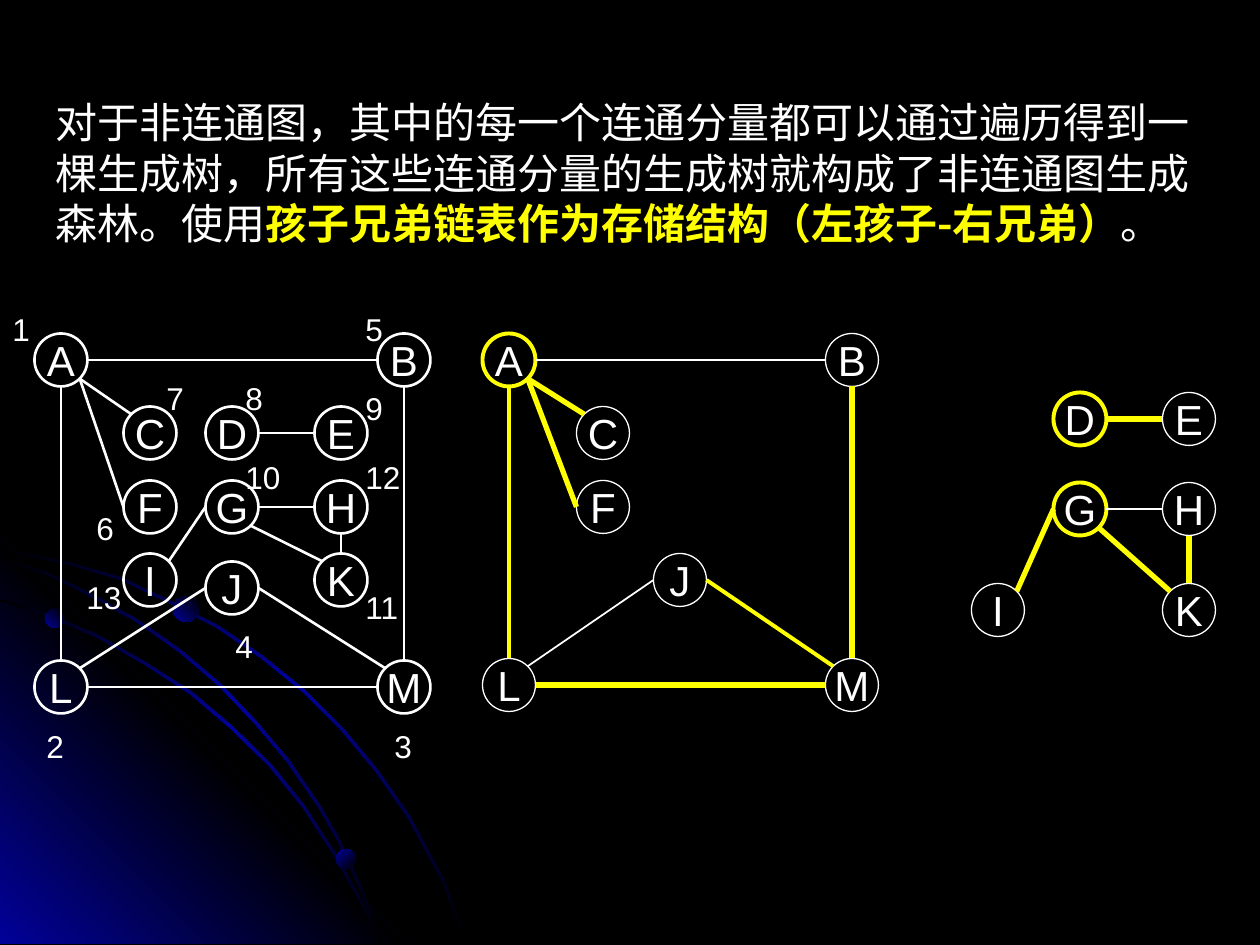
import math

from lxml import etree
from pptx import Presentation
from pptx.dml.color import RGBColor
from pptx.enum.shapes import MSO_CONNECTOR, MSO_SHAPE
from pptx.enum.text import MSO_ANCHOR, PP_ALIGN
from pptx.oxml.ns import qn
from pptx.util import Pt

OVAL = MSO_SHAPE.OVAL
STRAIGHT = MSO_CONNECTOR.STRAIGHT
MIDDLE = MSO_ANCHOR.MIDDLE
CENTER = PP_ALIGN.CENTER

SCALE = 914400 / 126  # EMU per px
WIDTH, HEIGHT = 1260, 945
NODE_SIZE = 53
BLACK, WHITE, YELLOW, BLUE = "000000", "FFFFFF", "FFFF00", "010199"
LATIN, CHINESE = "Arial", "Noto Sans CJK SC"

# Connection sites of an ellipse, counter-clockwise from the top
TOP, TOP_LEFT, LEFT, BOTTOM_LEFT, BOTTOM, BOTTOM_RIGHT, RIGHT, TOP_RIGHT = range(8)

# Upper edges of the curved background bands
BANDS = [
    [(0, 548), (35, 555), (72, 563), (123, 578), (171, 601), (219, 626),
     (263, 656), (305, 690), (343, 728), (378, 770), (410, 816), (427, 848),
     (444, 879), (456, 911), (469, 944)],
    [(0, 599), (52, 615), (100, 636), (147, 663), (192, 692), (232, 726),
     (271, 764), (305, 806), (335, 852), (360, 897), (373, 920), (382, 944)],
    [(0, 557), (49, 573), (96, 596), (140, 621), (181, 650), (221, 684),
     (257, 722), (289, 760), (320, 805), (339, 838), (355, 873), (370, 907),
     (382, 944)],
]
CORNER = [(0, 538), (406, 944), (0, 944)]
DOTS = [(45, 609, 19, 315), (336, 849, 20, 45), (173, 596, 26, 315)]

# Node centres; edges give start, its site, end, its site, colour and width
GRAPH_NODES = {
    "A": (61, 360), "B": (404, 360), "L": (61, 687), "M": (404, 687),
    "C": (150, 433), "F": (150, 507), "I": (150, 580),
    "D": (232, 433), "E": (341, 433), "G": (232, 507), "H": (341, 507),
    "J": (232, 588), "K": (341, 580),
}
GRAPH_EDGES = [(*edge, WHITE, 1.5) for edge in [
    ("A", RIGHT, "B", LEFT), ("A", BOTTOM, "L", TOP), ("L", RIGHT, "M", LEFT),
    ("M", TOP, "B", BOTTOM), ("L", TOP_RIGHT, "J", LEFT),
    ("J", RIGHT, "M", TOP_LEFT), ("I", TOP_RIGHT, "G", LEFT),
    ("A", BOTTOM_RIGHT, "C", TOP_LEFT), ("A", BOTTOM_RIGHT, "F", LEFT),
    ("D", RIGHT, "E", LEFT), ("G", RIGHT, "H", LEFT), ("H", BOTTOM, "K", TOP),
    ("G", BOTTOM_RIGHT, "K", TOP_LEFT),
]]
LARGE_TREE_NODES = {
    "A": (509, 360), "B": (852, 360), "L": (509, 685), "M": (852, 685),
    "C": (603, 433), "F": (603, 507), "J": (680, 580),
}
LARGE_TREE_EDGES = [
    ("A", RIGHT, "B", LEFT, WHITE, 1),
    ("A", BOTTOM, "L", TOP, YELLOW, 2.25),
    ("L", RIGHT, "M", LEFT, YELLOW, 3),
    ("M", TOP, "B", BOTTOM, YELLOW, 3),
    ("L", TOP_RIGHT, "J", LEFT, WHITE, 1),
    ("J", RIGHT, "M", TOP_LEFT, YELLOW, 2.25),
    ("A", BOTTOM_RIGHT, "C", TOP_LEFT, YELLOW, 3),
    ("A", BOTTOM_RIGHT, "F", LEFT, YELLOW, 3),
]
SMALL_TREE_NODES = {
    "I": (998, 610), "D": (1080, 419), "E": (1189, 419),
    "G": (1080, 509), "H": (1189, 509), "K": (1189, 610),
}
SMALL_TREE_EDGES = [
    ("I", TOP_RIGHT, "G", LEFT, YELLOW, 3),
    ("D", RIGHT, "E", LEFT, YELLOW, 3),
    ("G", BOTTOM_RIGHT, "K", TOP_LEFT, YELLOW, 3),
    ("H", BOTTOM, "K", TOP, YELLOW, 3),
    ("G", RIGHT, "H", LEFT, WHITE, 0.75),
]
# Left and top of the visit numbers 1 to 13
VISIT_LABELS = [
    (0, 304), (34, 721), (382, 721), (223, 621), (353, 304), (84, 503),
    (154, 373), (233, 373), (353, 383), (233, 452), (353, 582), (353, 452),
    (74, 572),
]


def px(value):
    return round(value * SCALE)


def color(value):
    return RGBColor.from_string(value)


def set_gradient(shape, colors, angle):
    shape.fill.gradient()
    shape.fill.gradient_angle = 360 - angle
    stops = shape._element.spPr.find(".//" + qn("a:gsLst"))
    for stop in list(stops):
        stops.remove(stop)
    for index, value in enumerate(colors):
        position = str(100000 * index // (len(colors) - 1))
        stop = etree.SubElement(stops, qn("a:gs"), pos=position)
        etree.SubElement(stop, qn("a:srgbClr"), val=value)
    shape.line.fill.background()
    shape.shadow.inherit = False


def add_outline(slide, points, colors, angle):
    builder = slide.shapes.build_freeform(*points[0], scale=SCALE)
    builder.add_line_segments(points[1:], close=True)
    set_gradient(builder.convert_to_shape(), colors, angle)


def add_band(slide, upper):
    lower = [(max(x - 2, 0), min(y + 2, 944)) for x, y in reversed(upper)]
    add_outline(slide, upper + lower, [BLACK, BLUE, BLACK], 45)


def add_run(paragraph, text, font, size, text_color=WHITE, bold=False):
    run = paragraph.add_run()
    run.text = text
    run.font.name = font
    run.font.size = Pt(size)
    run.font.bold = bold
    run.font.color.rgb = color(text_color)
    if font == CHINESE:
        etree.SubElement(run.font._element, qn("a:ea"), typeface=font)


def add_text_box(slide, left, top, width, height, wrap):
    box = slide.shapes.add_textbox(px(left), px(top), px(width), px(height))
    box.text_frame.word_wrap = wrap
    return box.text_frame


def add_node(slide, name, center, line_color, line_width):
    left, top = (px(value - NODE_SIZE / 2) for value in center)
    node = slide.shapes.add_shape(OVAL, left, top, px(NODE_SIZE), px(NODE_SIZE))
    node.shadow.inherit = False
    node.fill.background()
    node.line.color.rgb = color(line_color)
    node.line.width = Pt(line_width)
    frame = node.text_frame
    frame.word_wrap = False
    frame.vertical_anchor = MIDDLE
    frame.paragraphs[0].alignment = CENTER
    add_run(frame.paragraphs[0], name, LATIN, 24)
    return node


def site_point(center, site):
    angle = math.radians(90 + 45 * site)
    radius = NODE_SIZE / 2
    return (px(center[0] + radius * math.cos(angle)),
            px(center[1] - radius * math.sin(angle)))


def add_graph(slide, centers, edges, line_width, roots=()):
    nodes = {}
    for name, center in centers.items():
        style = (YELLOW, 2.25) if name in roots else (WHITE, line_width)
        nodes[name] = add_node(slide, name, center, *style)
    for start, start_site, end, end_site, edge_color, width in edges:
        edge = slide.shapes.add_connector(
            STRAIGHT, *site_point(centers[start], start_site),
            *site_point(centers[end], end_site))
        # begin_connect knows only the four sites of a rectangle
        edge._connect_begin_to(nodes[start], start_site)
        edge._connect_end_to(nodes[end], end_site)
        edge.line.color.rgb = color(edge_color)
        edge.line.width = Pt(width)
        etree.SubElement(edge._element.spPr, qn("a:effectLst"))


def add_background(slide):
    slide.background.fill.solid()
    slide.background.fill.fore_color.rgb = color(BLACK)
    add_band(slide, BANDS[0])
    add_outline(slide, CORNER, [BLUE, BLACK, BLUE], 315)
    for band in BANDS[1:]:
        add_band(slide, band)
    for left, top, size, angle in DOTS:
        dot = slide.shapes.add_shape(OVAL, px(left), px(top), px(size), px(size))
        set_gradient(dot, [BLUE, BLACK], angle)


def add_explanation(slide):
    frame = add_text_box(slide, 43, 87, 1189, 165, True)
    frame.margin_top = px(10)
    paragraph = frame.paragraphs[0]
    paragraph.line_spacing = Pt(28.8)
    add_run(paragraph, "对于非连通图，其中的每一个连通分量都可以通过遍历得到一棵生成树，"
            "所有这些连通分量的生成树就构成了非连通图生成森林。使用", CHINESE, 24)
    add_run(paragraph, "孩子兄弟链表作为存储结构（左孩子-右兄弟）", CHINESE, 24, YELLOW, True)
    add_run(paragraph, "。", CHINESE, 24)


def main():
    presentation = Presentation()
    presentation.slide_width, presentation.slide_height = px(WIDTH), px(HEIGHT)
    slide = presentation.slides.add_slide(presentation.slide_layouts[6])
    add_background(slide)
    add_explanation(slide)
    # Unconnected graph, then its spanning forest
    add_graph(slide, GRAPH_NODES, GRAPH_EDGES, 1.5)
    add_graph(slide, LARGE_TREE_NODES, LARGE_TREE_EDGES, 0.75, "A")
    add_graph(slide, SMALL_TREE_NODES, SMALL_TREE_EDGES, 0.75, "DG")
    # Order of the visits
    for number, (left, top) in enumerate(VISIT_LABELS, 1):
        frame = add_text_box(slide, left, top, 43 if number < 10 else 60, 50, False)
        add_run(frame.paragraphs[0], str(number), LATIN, 18)
    presentation.save("out.pptx")


if __name__ == "__main__":
    main()
